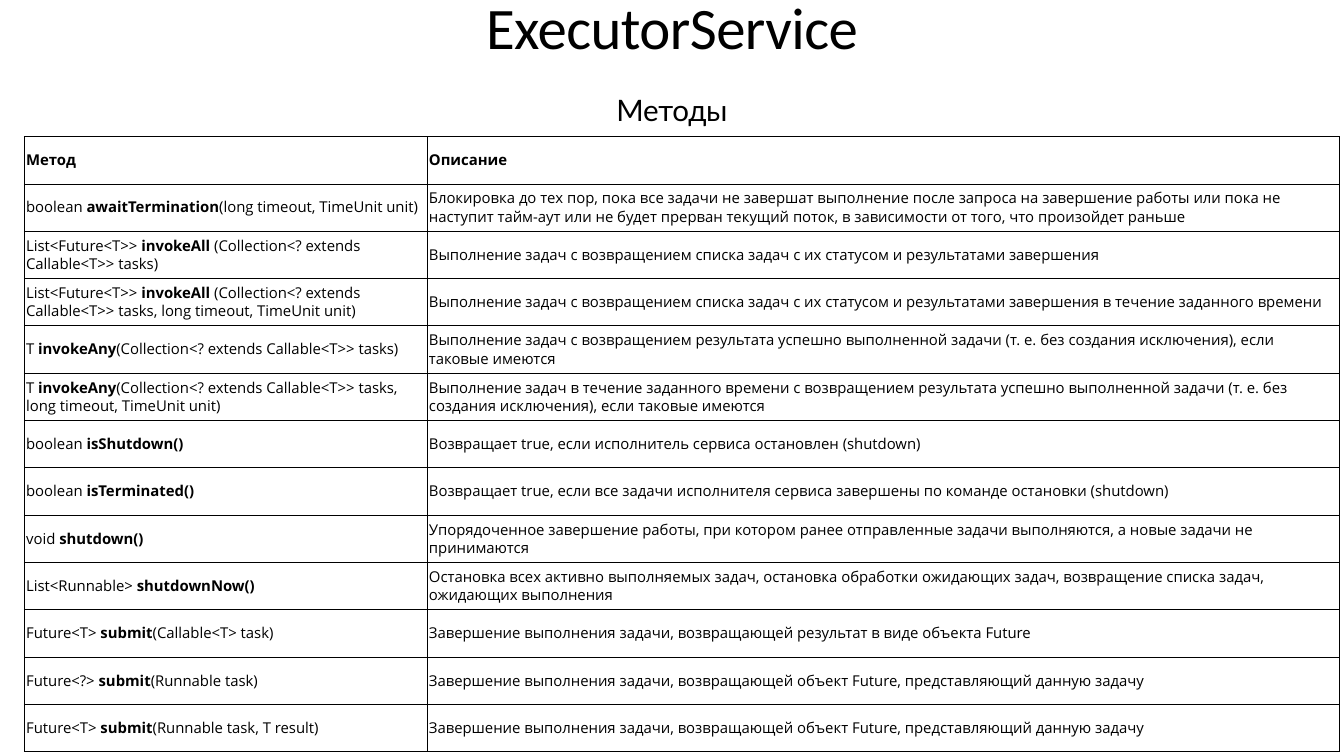
from pptx import Presentation
from pptx.dml.color import RGBColor
from pptx.enum.text import MSO_ANCHOR, PP_ALIGN
from pptx.oxml.ns import qn
from pptx.util import Pt
from lxml.etree import SubElement

COLORS = {"text": "000000", "border": "000000", "background": "FFFFFF"}
TITLE = {"name": "Calibri", "size": Pt(84)}
SUBTITLE = {"name": "Lato", "size": Pt(42.2)}
BODY = {"name": "Open Sans", "size": Pt(21.3)}
MARGINS = ("margin_left", "margin_top", "margin_right", "margin_bottom")

FUTURE = "Завершение выполнения задачи, возвращающей объект Future, представляющий данную задачу"
STATUS = "Выполнение задач с возвращением списка задач с их статусом и результатами завершения"
METHODS = [
    (("", "Метод", ""), "Описание"),
    (("boolean ", "awaitTermination", "(long timeout, TimeUnit unit)"),
     "Блокировка до тех пор, пока все задачи не завершат выполнение после запроса на завершение "
     "работы или пока не наступит тайм-аут или не будет прерван текущий поток, в зависимости от "
     "того, что произойдет раньше"),
    (("List<Future<T>> ", "invokeAll", " (Collection<? extends Callable<T>> tasks)"), STATUS),
    (("List<Future<T>> ", "invokeAll",
      " (Collection<? extends Callable<T>> tasks, long timeout, TimeUnit unit)"),
     STATUS + " в течение заданного времени"),
    (("T ", "invokeAny", "(Collection<? extends Callable<T>> tasks)"),
     "Выполнение задач с возвращением результата успешно выполненной задачи "
     "(т. е. без создания исключения), если таковые имеются"),
    (("T ", "invokeAny", "(Collection<? extends Callable<T>> tasks, long timeout, TimeUnit unit)"),
     "Выполнение задач в течение заданного времени с возвращением результата успешно выполненной "
     "задачи (т. е. без создания исключения), если таковые имеются"),
    (("boolean ", "isShutdown()", ""),
     "Возвращает true, если исполнитель сервиса остановлен (shutdown)"),
    (("boolean ", "isTerminated()", ""),
     "Возвращает true, если все задачи исполнителя сервиса завершены по команде остановки (shutdown)"),
    (("void ", "shutdown()", ""),
     "Упорядоченное завершение работы, при котором ранее отправленные задачи выполняются, "
     "а новые задачи не принимаются"),
    (("List<Runnable> ", "shutdownNow()", ""),
     "Остановка всех активно выполняемых задач, остановка обработки ожидающих задач, "
     "возвращение списка задач, ожидающих выполнения"),
    (("Future<T> ", "submit", "(Callable<T> task)"),
     "Завершение выполнения задачи, возвращающей результат в виде объекта Future"),
    (("Future<?> ", "submit", "(Runnable task)"), FUTURE),
    (("Future<T> ", "submit", "(Runnable task, T result)"), FUTURE),
]


class SlideBuilder:
    """Holds the text style and the current slide and adds its elements."""

    def __init__(self, slide):
        self.slide = slide
        slide.background.fill.solid()
        slide.background.fill.fore_color.rgb = RGBColor.from_string(COLORS["background"])

    def apply(self, target, values):
        for name, value in values.items():
            setattr(target, name, value)

    def inset(self, target, margin, anchor):
        self.apply(target, dict.fromkeys(MARGINS, Pt(margin)))
        target.vertical_anchor = anchor

    def add_runs(self, paragraph, runs, style, spacing=0):
        for text, bold in runs:
            if text:
                run = paragraph.add_run()
                run.text = text
                self.apply(run.font, {**style, "bold": bold})
                run.font.color.rgb = RGBColor.from_string(COLORS["text"])
                if spacing:
                    run._r.get_or_add_rPr().set("spc", str(spacing))

    def heading(self, text, box, style, line_spacing, spacing):
        frame = self.slide.shapes.add_textbox(*map(Pt, box)).text_frame
        frame.word_wrap = True
        self.inset(frame, 4, MSO_ANCHOR.TOP)
        paragraph = frame.paragraphs[0]
        self.apply(paragraph, {"alignment": PP_ALIGN.CENTER, "line_spacing": line_spacing})
        self.add_runs(paragraph, [(text, False)], style, spacing)

    def border(self, cell):
        properties = cell._tc.get_or_add_tcPr()
        for side in ("a:lnL", "a:lnR", "a:lnT", "a:lnB"):
            line = SubElement(properties, qn(side), w=str(Pt(1)))
            fill = SubElement(line, qn("a:solidFill"))
            SubElement(fill, qn("a:srgbClr"), val=COLORS["border"])

    def cell(self, cell, runs):
        self.inset(cell, 2.6, MSO_ANCHOR.MIDDLE)
        self.border(cell)
        cell.fill.background()
        paragraph = cell.text_frame.paragraphs[0]
        paragraph.line_spacing = 0.9
        self.add_runs(paragraph, runs, BODY)

    def table(self, rows, left, top, widths, height):
        table = self.slide.shapes.add_table(
            len(rows), len(widths), Pt(left), Pt(top), Pt(sum(widths)), Pt(height)).table
        self.apply(table, {"first_row": False, "horz_banding": False})
        for column, width in zip(table.columns, widths):
            column.width = Pt(width)
        for index, ((result, name, arguments), description) in enumerate(rows):
            table.rows[index].height = Pt(height / len(rows))
            self.cell(table.cell(index, 0), [(result, False), (name, True), (arguments, False)])
            self.cell(table.cell(index, 1), [(description, index == 0)])


presentation = Presentation()
presentation.slide_width, presentation.slide_height = Pt(1920), Pt(1080)
builder = SlideBuilder(presentation.slides.add_slide(presentation.slide_layouts[6]))
builder.heading("ExecutorService", (96, 2, 1728, 136), TITLE, 0.8, -80)
builder.heading("Методы", (96, 127.5, 1728, 65.5), SUBTITLE, 1.0, -40)
builder.table(METHODS, 34.7, 195, (575.5, 1302.7), 879.2)
presentation.save("out.pptx")
